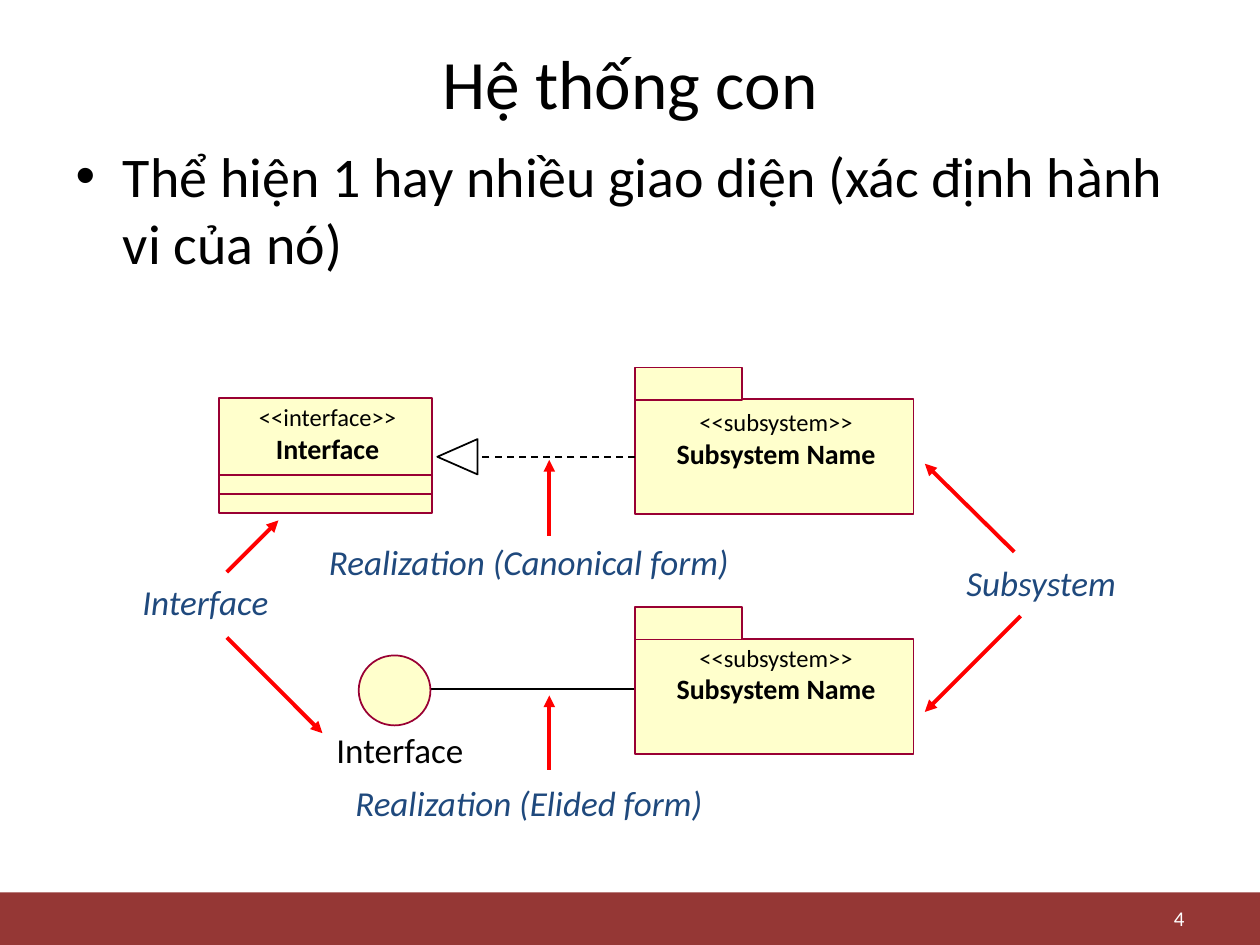
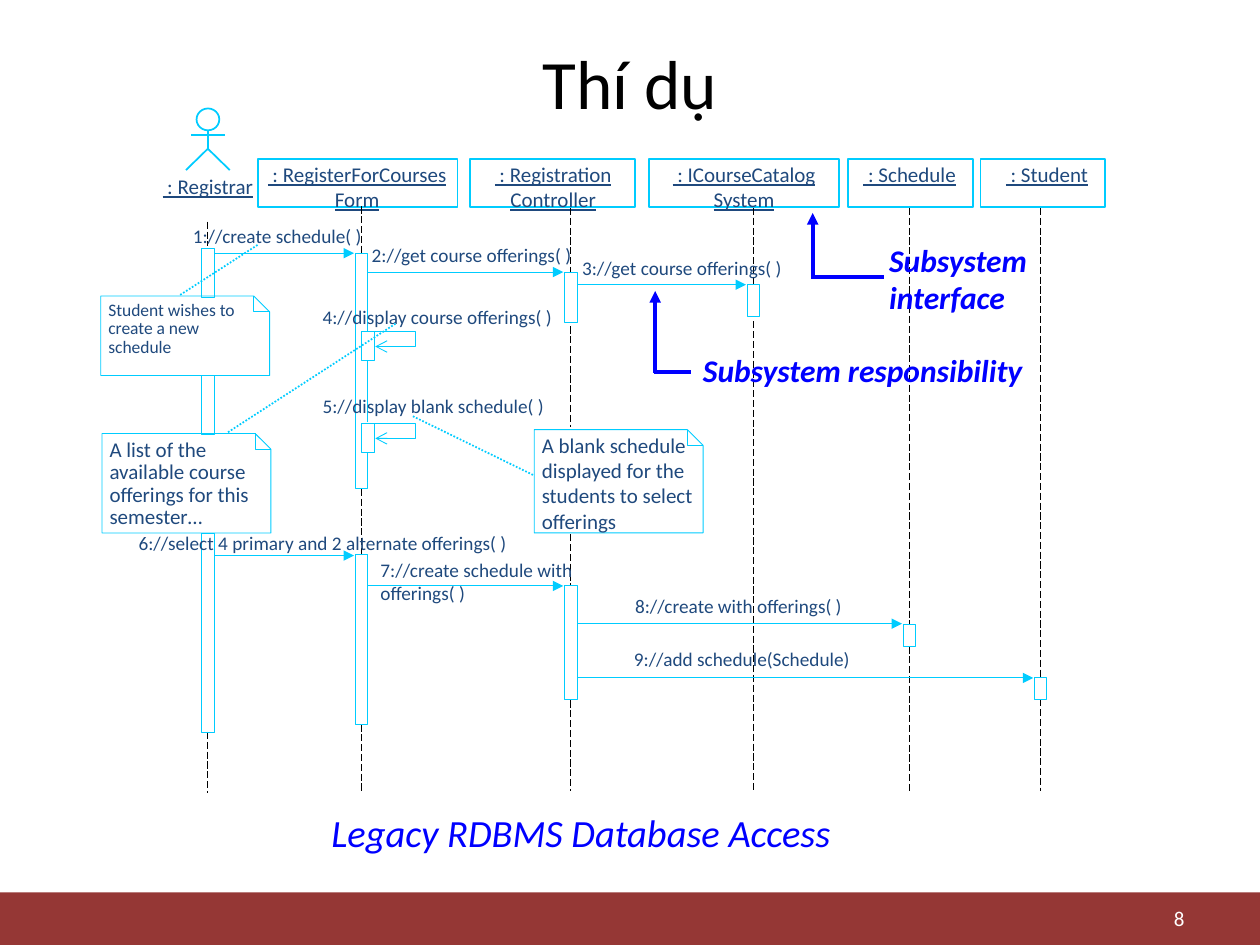
from lxml.etree import SubElement
from pptx import Presentation
from pptx.dml.color import RGBColor
from pptx.enum.dml import MSO_LINE as Dash
from pptx.enum.shapes import MSO_CONNECTOR, MSO_SHAPE as Shape
from pptx.enum.text import MSO_ANCHOR as Anchor, MSO_AUTO_SIZE as Fit, PP_ALIGN as Align
from pptx.oxml.ns import qn
from pptx.util import Pt

BLACK, WHITE = RGBColor(0, 0, 0), RGBColor(255, 255, 255)
BAND, MAROON = RGBColor(0x95, 0x37, 0x35), RGBColor(0x99, 0x00, 0x33)
CREAM, RED = RGBColor(0xFF, 0xFF, 0xCC), RGBColor(255, 0, 0)
NAVY, BLUE = RGBColor(0x1F, 0x49, 0x7D), RGBColor(0, 0, 255)
CYAN = RGBColor(0x00, 0xCC, 0xFF)
FONT = "Calibri"
WIDE_INSET, BOX_INSET = (8.64, 4.32), (7.2, 3.6)

# Subsystem slide: top of each package body, top of its text
SUBSYSTEM_X = 363
SUBSYSTEMS = [(228, 232.6), (365, 367.2)]
LABELS = [  # text, left, top, width
    ("Interface", 72.7, 327.6, 98),
    ("Subsystem", 543.6, 316.8, 122),
    ("Realization (Canonical form)", 179.3, 304.6, 269.5),
    ("Realization (Elided form)", 194.4, 442, 237),
]
POINTERS = [
    ((579.6, 315.4), (528.5, 265)),
    ((583.2, 352), (528.5, 406.8)),
    ((313.9, 440), (313.9, 397.4)),
    ((313.9, 306), (313.9, 262.8)),
    ((129.6, 326.9), (159.1, 297.4)),
    ((129.6, 364.3), (184.3, 419)),
]

# Sequence slide: each lifeline's x, its dashed stretches and activation bars
LIFELINES = {
    "registrar": (118.8, [(126.7, 140.4), (418.3, 452.9)],
                  [(141.8, 169.9), (214.6, 248.4), (304.6, 418.3)]),
    "form": (206.6, [(118, 144.7), (279.4, 317.5), (414, 452.9)], [(316.8, 414)]),
    "controller": (326.2, [(118.8, 155.5), (186.5, 244), (305.3, 334.8), (400.3, 452.2)],
                   [(155.5, 184.3), (334.8, 399.6)]),
    "catalog": (430.6, [(118.8, 162.7), (183.6, 452.9)], [(162.7, 180.7)]),
    "schedule": (519.8, [(118.8, 356.4), (369.4, 452.9)], [(357.1, 369.4)]),
    "student": (594.7, [(118.8, 387.4), (399.6, 452.2)], [(387.4, 399.6)]),
}
PARTICIPANTS = [  # lines, box left, box width, text centre
    ([" : RegisterForCourses", "Form"], 147.6, 113.8, 204.1),
    ([" : Registration", "Controller"], 268.6, 94.3, 316.1),
    ([" : ICourseCatalog", "System"], 370.8, 108.7, 425.2),
    ([" : Schedule"], 484.6, 71.3, 519.8),
    ([" : Student"], 560.2, 71.3, 598.3),
]
MESSAGES = [  # text, left, top, width, sender, receiver, arrow y
    ("1://create schedule( )", 110.2, 128.2, 100, "registrar", "form", 144.7),
    ("2://get course offerings( )", 212.4, 139, 120, "form", "controller", 155.5),
    ("3://get course offerings( )", 332.6, 146.2, 118, "controller", "catalog", 162.7),
    ("4://display course offerings( )", 184.3, 174.2, 134, "form", "form", 189.4),
    ("5://display blank schedule( )", 184.3, 225.4, 134, "form", "form", 241.9),
    ("6://select 4 primary and 2 alternate offerings( )", 79.2, 303.8, 214,
     "registrar", "form", 317.5),
    ("7://create schedule with offerings( )", 217.4, 319, 159.8, "form", "controller", 334.8),
    ("8://create with offerings( )", 362.9, 339.8, 127, "controller", "schedule", 356.4),
    ("9://add schedule(Schedule)", 362.2, 370, 126, "controller", "student", 387.4),
]
NOTES = [  # lines, left, top, height, size, line spacing, pointer from and to
    (["Student wishes to", "create a new", "schedule"],
     57.6, 169.2, 45.4, 10, 0.9, (103, 168.5), (147.6, 139.7)),
    (["A list of the", "available course", "offerings for this", "semester…"],
     58.3, 247.7, 56.9, 12, 0.9, (130.3, 247), (226, 185)),
    (["A blank schedule", "displayed for the", "students to select", "offerings"],
     305.3, 245.5, 59, 12, 1, (304.6, 271.4), (235.4, 237.6)),
]
CALLOUTS = [  # text, left, top, width, height, bend, arrow tip y, foot x
    ("Subsystem interface", 501, 134, 126.7, 50.4, (464.4, 158.4), 121.7, 505.4),
    ("Subsystem responsibility", 394.6, 197.3, 232.6, 28.8, (374.4, 212.4), 166.3, 394.6),
]
BAR, NOTE_WIDTH, FOLD = 7.2, 96.5, 9


def points(*values):
    return [Pt(value) for value in values]


def style_line(item, color, width, dash=None, head=None):
    item.line.color.rgb = color
    item.line.width = Pt(width)
    if dash:
        item.line.dash_style = dash
    if head:
        SubElement(item.element.spPr.find(qn("a:ln")), qn("a:tailEnd"), type=head)


def add_line(page, start, end, color, width, dash=None, head=None):
    line = page.shapes.add_connector(MSO_CONNECTOR.STRAIGHT, *points(*start, *end))
    style_line(line, color, width, dash, head)
    SubElement(line.element.spPr, qn("a:effectLst"))
    return line


def add_box(page, at, color, width=1, fill=None, kind=Shape.RECTANGLE):
    box = page.shapes.add_shape(kind, *points(*at))
    box.shadow.inherit = False
    if fill is None:
        box.fill.background()
    else:
        box.fill.solid()
        box.fill.fore_color.rgb = fill
    style_line(box, color, width)
    return box


def add_outline(page, corners, closed=False, head=None, width=0.5):
    start, *others = [points(*corner) for corner in corners]
    builder = page.shapes.build_freeform(*start)
    builder.add_line_segments(others, close=closed)
    outline = builder.convert_to_shape()
    outline.shadow.inherit = False
    outline.fill.background()
    style_line(outline, CYAN, width, head=head)


def style_text(frame, size, color, **flags):
    for para in frame.paragraphs:
        for span in para.runs:
            span.font.name, span.font.size = FONT, Pt(size)
            span.font.color.rgb = color
            for flag, value in flags.items():
                setattr(span.font, flag, value)


def add_text(page, lines, at, size, color, align=Align.LEFT, inset=(0, 0),
             wrap=True, spacing=1, **flags):
    box = page.shapes.add_textbox(*points(*at))
    frame = box.text_frame
    frame.word_wrap = wrap
    frame.margin_left = frame.margin_right = Pt(inset[0])
    frame.margin_top = frame.margin_bottom = Pt(inset[1])
    frame.text = "\n".join(lines)
    for number, para in enumerate(frame.paragraphs):
        para.alignment = align
        if number and spacing != 1:
            para.line_spacing = spacing
    style_text(frame, size, color, **flags)
    return frame


def add_page(deck, layout, title, number):
    page = deck.slides.add_slide(deck.slide_layouts[layout])
    # Footer band with page number
    add_box(page, (0, 510, 720, 30), BAND, fill=BAND).line.fill.background()
    footer = add_text(page, [number], (516.2, 514.8, 167.8, 19.4), 12, WHITE,
                      Align.RIGHT, BOX_INSET)
    footer.vertical_anchor = Anchor.MIDDLE
    # Title
    heading = page.shapes.title
    heading.left, heading.top, heading.width, heading.height = points(36, 21.6, 648, 50.4)
    heading.text_frame.text = title
    heading.text_frame.auto_size = Fit.NONE
    style_text(heading.text_frame, 39.6, BLACK)
    return page


def add_class_name(page, stereotype, name, at):
    frame = add_text(page, [stereotype, name], at, 14, BLACK, Align.CENTER)
    font = frame.paragraphs[1].runs[0].font
    font.size, font.bold = Pt(16), True


def build_subsystem_page(deck):
    page = add_page(deck, 1, "Hệ thống con", "4")
    body = page.placeholders[1]
    body.left, body.top, body.width, body.height = points(36, 77, 648, 115.2)
    body.text_frame.text = "Thể hiện 1 hay nhiều giao diện (xác định hành vi của nó)"
    body.text_frame.auto_size = Fit.NONE
    style_text(body.text_frame, 32, BLACK)

    # Elided form: line, then circle and package over its ends
    add_line(page, (235.4, 393.8), (378.7, 393.8), BLACK, 1)
    add_box(page, (205, 374.5, 41, 40), MAROON, fill=CREAM, kind=Shape.OVAL)
    add_text(page, ["Interface"], (150.5, 412.6, 156.2, 31), 20, BLACK,
             Align.CENTER, BOX_INSET)

    # Packages
    packages = []
    for top, text_top in SUBSYSTEMS:
        packages.append(add_box(page, (SUBSYSTEM_X, top, 159, 66), MAROON, fill=CREAM))
        add_box(page, (SUBSYSTEM_X, top - 18, 61.2, 18.5), MAROON, fill=CREAM)
        add_class_name(page, "<<subsystem>>", "Subsystem Name", (381, text_top, 125, 36))

    # Canonical form: class box, hollow arrowhead, dashed line
    add_box(page, (125.3, 227.5, 121.4, 65.5), MAROON, fill=CREAM)
    for y in (271.4, 282.2):
        add_line(page, (125.3, y), (246.7, y), MAROON, 1)
    add_class_name(page, "<<interface>>", "Interface", (130.3, 229.7, 113.8, 36))
    realization = add_line(page, (SUBSYSTEM_X, 261), (274.3, 261), BLACK, 1, Dash.DASH)
    realization.begin_connect(packages[0], 1)
    arrowhead = add_box(page, (251.3, 249.5, 20.2, 23), BLACK,
                        kind=Shape.ISOSCELES_TRIANGLE)
    arrowhead.rotation = 270

    # Labels and pointers
    for text, left, top, width in LABELS:
        add_text(page, [text], (left, top, width, 32.4), 20, NAVY,
                 inset=WIDE_INSET, italic=True)
    for start, end in POINTERS:
        add_line(page, start, end, RED, 2.25, head="triangle")


def add_actor(page, x):
    add_box(page, (x - 6.5, 62, 13, 12.5), CYAN, kind=Shape.OVAL)
    add_line(page, (x, 74.9), (x, 85), CYAN, 1)
    add_line(page, (x - 9.5, 77), (x + 9.5, 77), CYAN, 1)
    add_outline(page, [(x - 12.5, 97.2), (x, 85), (x + 12.5, 97.2)], width=1)
    add_text(page, [" : Registrar"], (92.9, 99.4, 52.6, 14.4), 12, NAVY,
             wrap=False, underline=True)


def add_note(page, lines, left, top, height, size, spacing, start, end):
    right, bottom = left + NOTE_WIDTH, top + height
    crease, fold_bottom = right - FOLD, top + FOLD
    add_outline(page, [(left, top), (crease, top), (right, fold_bottom),
                       (right, bottom), (left, bottom)], closed=True)
    add_outline(page, [(crease, top), (crease, fold_bottom), (right, fold_bottom)])
    add_text(page, lines, (left + 4.3, top + 1.6, 87, height), size, NAVY,
             wrap=False, spacing=spacing)
    add_line(page, start, end, CYAN, 1, Dash.ROUND_DOT)


def build_sequence_page(deck):
    page = add_page(deck, 5, "Thí dụ", "8")
    half = BAR / 2

    # Actor and participants
    add_actor(page, LIFELINES["registrar"][0])
    for lines, left, width, centre in PARTICIPANTS:
        add_box(page, (left, 90.7, width, 27.4), CYAN)
        add_text(page, lines, (centre - 53, 92.2, 106, 14.4 * len(lines)), 12, NAVY,
                 Align.CENTER, underline=True)

    # Lifelines and activation bars
    for x, stretches, bars in LIFELINES.values():
        for top, bottom in stretches:
            add_line(page, (x, top), (x, bottom), BLACK, 0.5, Dash.LONG_DASH)
        for top, bottom in bars:
            add_box(page, (x - half, top, BAR, bottom - top), CYAN, 0.5)

    # Form's first activation, open where the nested bars sit
    form_x = LIFELINES["form"][0]
    left, right = form_x - half, form_x + half
    add_outline(page, [(right, 189.4), (right, 144.7), (left, 144.7),
                       (left, 279.4), (right, 279.4), (right, 258.5)])
    add_line(page, (right, 206), (right, 241.2), CYAN, 0.5)

    # Messages
    for text, left, top, width, sender, receiver, y in MESSAGES:
        add_text(page, [text], (left, top, width, 13.7), 11, NAVY)
        start, end = LIFELINES[sender][0], LIFELINES[receiver][0]
        if sender == receiver:
            add_box(page, (start, y, BAR, 16.6), CYAN, 0.5)
            edge = start + BAR
            add_outline(page, [(edge, y), (edge + 23.8, y), (edge + 23.8, y + 8.6),
                               (edge + 0.7, y + 8.6)], head="arrow")
        else:
            add_line(page, (start + half, y), (end - half - 0.7, y), CYAN, 0.5,
                     head="triangle")

    # Notes
    for note in NOTES:
        add_note(page, *note)

    # Callouts and caption
    for text, left, top, width, height, (x, y), tip, foot in CALLOUTS:
        add_text(page, [text], (left, top, width, height), 18, BLUE,
                 inset=BOX_INSET, bold=True, italic=True)
        add_line(page, (x, y + 0.7), (x, tip), BLUE, 2.25, head="triangle")
        add_line(page, (x - 0.7, y), (foot, y), BLUE, 2.25)
    add_text(page, ["Legacy RDBMS Database Access"], (180.7, 458, 360, 34.6), 22, BLUE,
             inset=WIDE_INSET, italic=True)


def main():
    deck = Presentation()
    deck.slide_width, deck.slide_height = points(720, 540)
    build_subsystem_page(deck)
    build_sequence_page(deck)
    deck.save("out.pptx")


if __name__ == "__main__":
    main()
